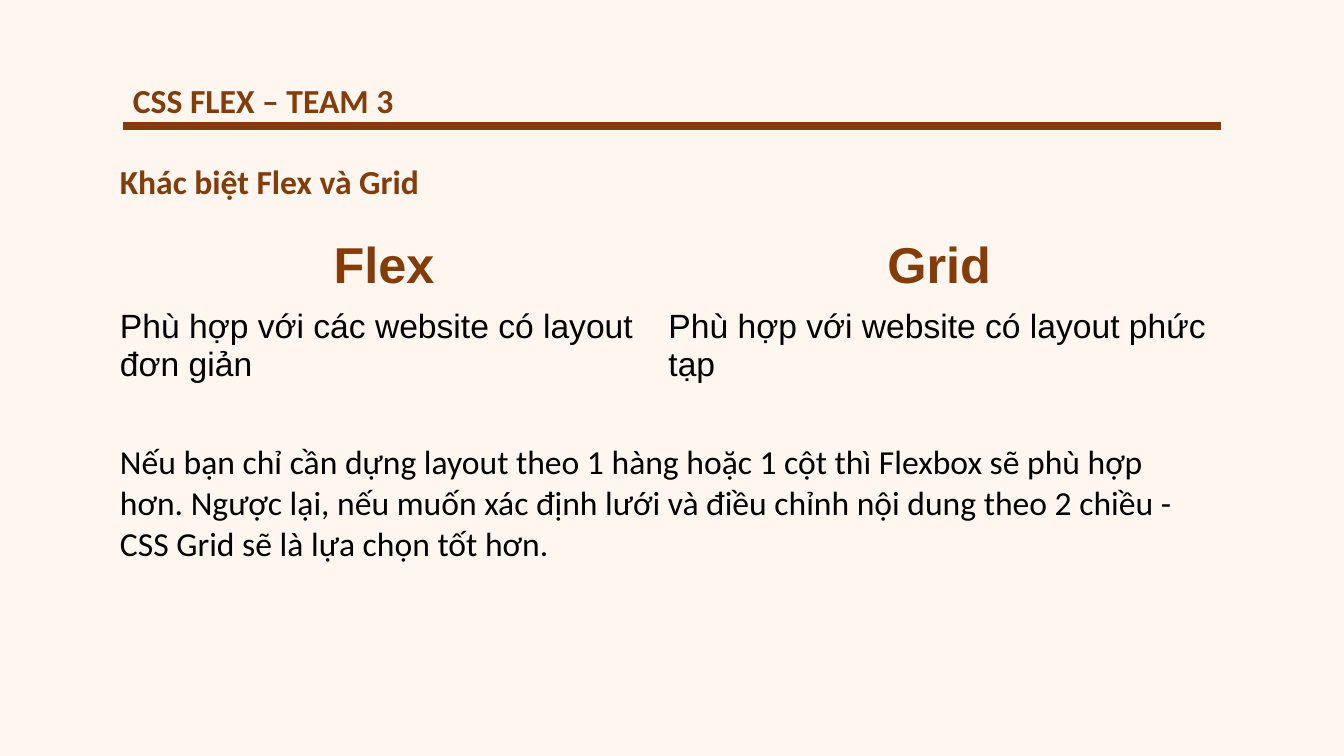
from dataclasses import dataclass

from lxml.etree import SubElement
from pptx import Presentation
from pptx.dml.color import RGBColor
from pptx.enum.shapes import MSO_CONNECTOR
from pptx.enum.text import MSO_AUTO_SIZE, PP_ALIGN
from pptx.oxml.ns import qn
from pptx.slide import Slide
from pptx.text.text import TextFrame
from pptx.util import Inches, Pt

COLORS = {"background": "FFF7EF", "brown": "843C0B", "black": "000000"}
NO_STYLE_NO_GRID = "{2D5ABB26-0587-4C30-8999-92F81FD0307C}"
COLUMN_WIDTHS = (5.44, 5.57)
ROW_HEIGHTS = (0.67, 1.33, 1.37)


@dataclass(frozen=True)
class TextStyle:
    """Look of one kind of text."""
    font: str
    size: int
    color: str
    bold: bool = False
    align: PP_ALIGN = PP_ALIGN.LEFT


@dataclass(frozen=True)
class Heading:
    """A one-line heading and its place in inches."""
    text: str
    left: float
    top: float
    width: float
    height: float = 0.5


@dataclass(frozen=True)
class TableRow:
    """Texts of one table row; a single text spans all columns."""
    texts: tuple[str, ...]
    style: TextStyle


HEADING_STYLE = TextStyle("Calibri", 24, "brown", bold=True)
COLUMN_TITLE = TextStyle("Arial", 36, "brown", bold=True, align=PP_ALIGN.CENTER)
COMPARISON = TextStyle("Arial", 24, "black")
SUMMARY = TextStyle("Calibri", 24, "black")

HEADINGS = (
    Heading("CSS FLEX – TEAM 3", 1.22, 0.74, 2.81),
    Heading("Khác biệt Flex và Grid", 1.09, 1.55, 3.2),
)
ROWS = (
    TableRow(("Flex", "Grid"), COLUMN_TITLE),
    TableRow(("Phù hợp với các website có layout đơn giản",
              "Phù hợp với website có layout phức tạp"), COMPARISON),
    TableRow(("Nếu bạn chỉ cần dựng layout theo 1 hàng hoặc 1 cột thì Flexbox "
              "sẽ phù hợp hơn. Ngược lại, nếu muốn xác định lưới và điều chỉnh "
              "nội dung theo 2 chiều - CSS Grid sẽ là lựa chọn tốt hơn.",), SUMMARY),
)


def color_of(name: str) -> RGBColor:
    """Look up a named colour."""
    return RGBColor.from_string(COLORS[name])


def write_text(frame: TextFrame, text: str, style: TextStyle) -> None:
    """Write one styled paragraph into a text frame."""
    para = frame.paragraphs[0]
    para.alignment = style.align
    span = para.add_run()
    span.text = text
    formats = {"name": style.font, "size": Pt(style.size), "bold": style.bold}
    for attribute, value in formats.items():
        setattr(span.font, attribute, value)
    span.font.color.rgb = color_of(style.color)


def add_heading(page: Slide, heading: Heading) -> None:
    """Add a heading in a box that grows with its text."""
    box = page.shapes.add_textbox(Inches(heading.left), Inches(heading.top),
                                  Inches(heading.width), Inches(heading.height))
    formats = {"word_wrap": False, "auto_size": MSO_AUTO_SIZE.SHAPE_TO_FIT_TEXT}
    for attribute, value in formats.items():
        setattr(box.text_frame, attribute, value)
    write_text(box.text_frame, heading.text, HEADING_STYLE)


def add_title_rule(page: Slide) -> None:
    """Draw the thick line below the title."""
    rule = page.shapes.add_connector(MSO_CONNECTOR.STRAIGHT, Inches(1.22), Inches(1.25),
                                     Inches(12.11), Inches(1.25))
    rule.line.color.rgb = color_of("brown")
    rule.line.width = Pt(5.5)
    SubElement(rule.element.find(qn("p:spPr")), qn("a:effectLst"))


def add_comparison_table(page: Slide) -> None:
    """Add the borderless table that compares Flex and Grid."""
    holder = page.shapes.add_table(len(ROW_HEIGHTS), len(COLUMN_WIDTHS),
                                   Inches(1.09), Inches(2.31),
                                   Inches(sum(COLUMN_WIDTHS)), Inches(sum(ROW_HEIGHTS)))
    next(holder.element.iter(qn("a:tableStyleId"))).text = NO_STYLE_NO_GRID
    table = holder.table
    for attribute, value in {"first_row": False, "horz_banding": False}.items():
        setattr(table, attribute, value)
    for column, width in zip(table.columns, COLUMN_WIDTHS):
        column.width = Inches(width)
    for row, height in zip(table.rows, ROW_HEIGHTS):
        row.height = Inches(height)
    for cell in table.iter_cells():
        cell.fill.background()
    for row_index, row in enumerate(ROWS):
        if len(row.texts) == 1:
            table.cell(row_index, 0).merge(table.cell(row_index, len(COLUMN_WIDTHS) - 1))
        for column_index, text in enumerate(row.texts):
            write_text(table.cell(row_index, column_index).text_frame, text, row.style)


def main() -> None:
    """Build and save the slide."""
    deck = Presentation()
    deck.slide_width, deck.slide_height = Inches(13.33), Inches(7.5)
    page = deck.slides.add_slide(deck.slide_layouts[6])
    page.background.fill.solid()
    page.background.fill.fore_color.rgb = color_of("background")
    add_title_rule(page)
    for heading in HEADINGS:
        add_heading(page, heading)
    add_comparison_table(page)
    deck.save("out.pptx")


main()
